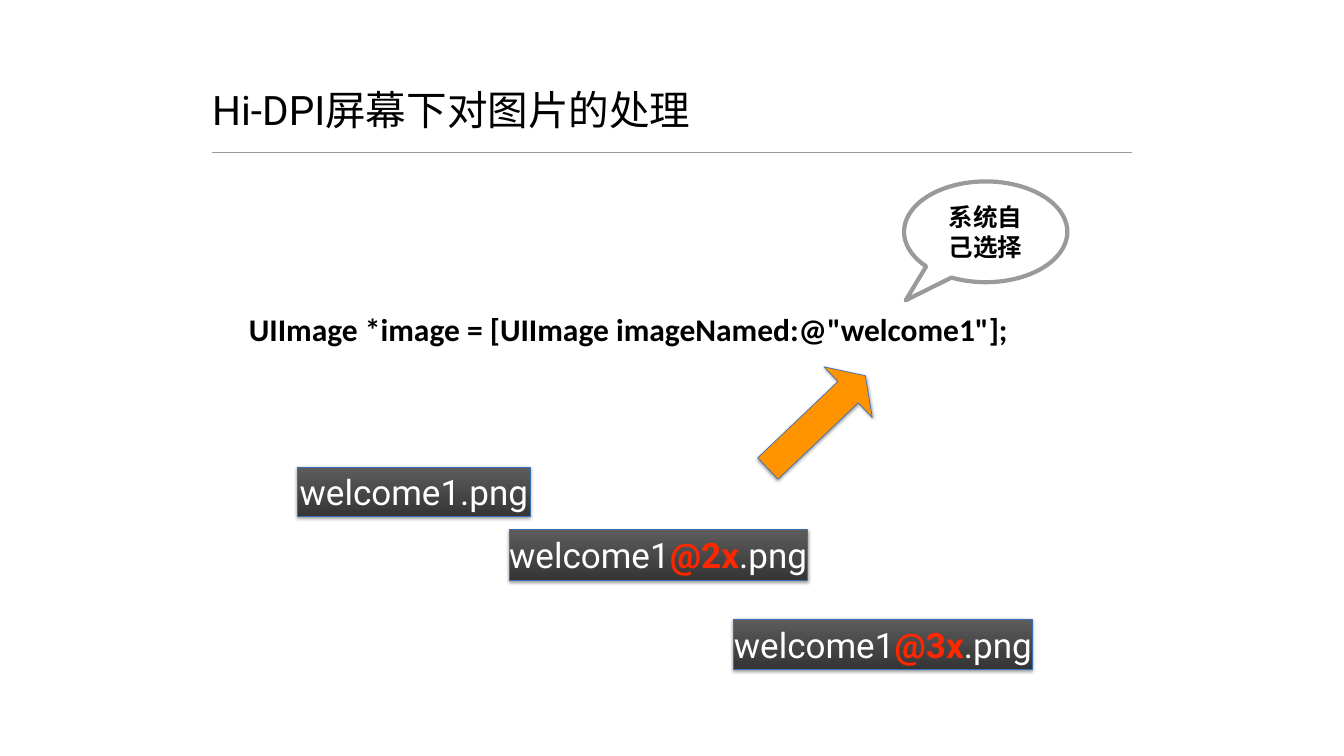
from lxml import etree
from pptx import Presentation
from pptx.dml.color import RGBColor
from pptx.enum import shapes, text
from pptx.oxml import parse_xml
from pptx.oxml.ns import nsdecls, qn
from pptx.util import Inches, Pt

COLORS = {"ink": "000000", "rule": "9A9A9A", "paper": "FFFFFF", "accent": "FF2600",
          "arrow": "FF9300", "edge": "3A70B5", "chip_top": "5C5C5C", "chip_bottom": "353535"}

TITLE = "Hi-DPI屏幕下对图片的处理"
CODE = 'UIImage *image = [UIImage imageNamed:@"welcome1"];'
CALLOUT = ["系统自", "己选择"]
FILES = [
    ((5.91, 9.27, 4.61, 0.98), ["welcome1.png"]),
    ((10.1, 10.51, 5.92, 1), ["welcome1", "@2x", ".png"]),
    ((14.56, 12.28, 5.92, 1), ["welcome1", "@3x", ".png"]),
]


def rgb(name):
    return RGBColor.from_string(COLORS[name])


def style(r, size, color="ink", bold=False, font="Roboto"):
    r.font.name = font
    r.font.size = Pt(size)
    r.font.bold = bold
    r.font.color.rgb = rgb(color)


def frame(sp, anchor=text.MSO_ANCHOR.MIDDLE, inset=0, wrap=True):
    tf = sp.text_frame
    tf.word_wrap = wrap
    tf.vertical_anchor = anchor
    tf.margin_left = tf.margin_right = tf.margin_top = tf.margin_bottom = Inches(inset)
    return tf


def add_text(s, box, content, size, **font):
    sp = s.shapes.add_textbox(*map(Inches, box))
    sp.text_frame.text = content
    style(sp.text_frame.paragraphs[0].runs[0], size, **font)
    return sp


def add_shape(s, kind, box, line, width):
    sp = s.shapes.add_shape(kind, *map(Inches, box))
    sp.shadow.inherit = False
    sp.line.color.rgb = rgb(line)
    sp.line.width = Pt(width)
    return sp


def add_shadow(sp):
    effects = sp._element.spPr.find(qn("a:effectLst"))
    effects.append(parse_xml(
        f'<a:outerShdw {nsdecls("a")} blurRad="{Pt(5)}" dist="{Pt(2)}" dir="5400000" '
        f'rotWithShape="0"><a:srgbClr val="{COLORS["ink"]}"><a:alpha val="40000"/>'
        '</a:srgbClr></a:outerShdw>'))


def add_chip(s, box, parts):
    sp = add_shape(s, shapes.MSO_SHAPE.RECTANGLE, box, "edge", 1)
    sp.fill.gradient()
    sp.fill.gradient_angle = 270
    for stop, position, color in zip(sp.fill.gradient_stops, (0, 1), ("chip_top", "chip_bottom")):
        stop.position = position
        stop.color.rgb = rgb(color)
    add_shadow(sp)
    p = frame(sp, wrap=False).paragraphs[0]
    p.alignment = text.PP_ALIGN.CENTER
    for part in parts:
        r = p.add_run()
        r.text = part
        marked = part.startswith("@")
        style(r, 50, "accent" if marked else "paper", marked)


def main():
    prs = Presentation()
    prs.slide_width, prs.slide_height = Inches(26.67), Inches(15)
    s = prs.slides.add_slide(prs.slide_layouts[6])

    rule = s.shapes.add_connector(shapes.MSO_CONNECTOR.STRAIGHT,
                                  *map(Inches, (4.21, 3.03, 22.46, 3.03)))
    rule.line.color.rgb = rgb("rule")
    rule.line.width = Pt(1)
    etree.SubElement(rule._element.spPr, qn("a:effectLst"))

    title = add_text(s, (4.21, 0.51, 18.24, 2.15), TITLE, 58)
    frame(title, text.MSO_ANCHOR.BOTTOM)
    code = add_text(s, (4.86, 6.07, 15.23, 0.92), CODE, 45, bold=True, font="Calibri")
    frame(code, inset=0.08, wrap=False)

    arrow = add_shape(s, shapes.MSO_SHAPE.RIGHT_ARROW, (14.87, 7.68, 2.67, 1.39), "edge", 1)
    arrow.adjustments[0], arrow.adjustments[1] = 0.42, 0.34
    arrow.rotation = 316.4
    arrow.fill.solid()
    arrow.fill.fore_color.rgb = rgb("arrow")
    add_shadow(arrow)

    for box, parts in FILES:
        add_chip(s, box, parts)

    callout = add_shape(s, shapes.MSO_SHAPE.OVAL_CALLOUT, (17.94, 3.6, 3.24, 2), "rule", 6)
    callout.adjustments[0], callout.adjustments[1] = -0.49, 0.68
    callout.fill.background()
    tf = frame(callout)
    tf.text = "\n".join(CALLOUT)
    for p in tf.paragraphs:
        p.alignment = text.PP_ALIGN.CENTER
        style(p.runs[0], 35, bold=True)

    prs.save("out.pptx")


if __name__ == "__main__":
    main()
